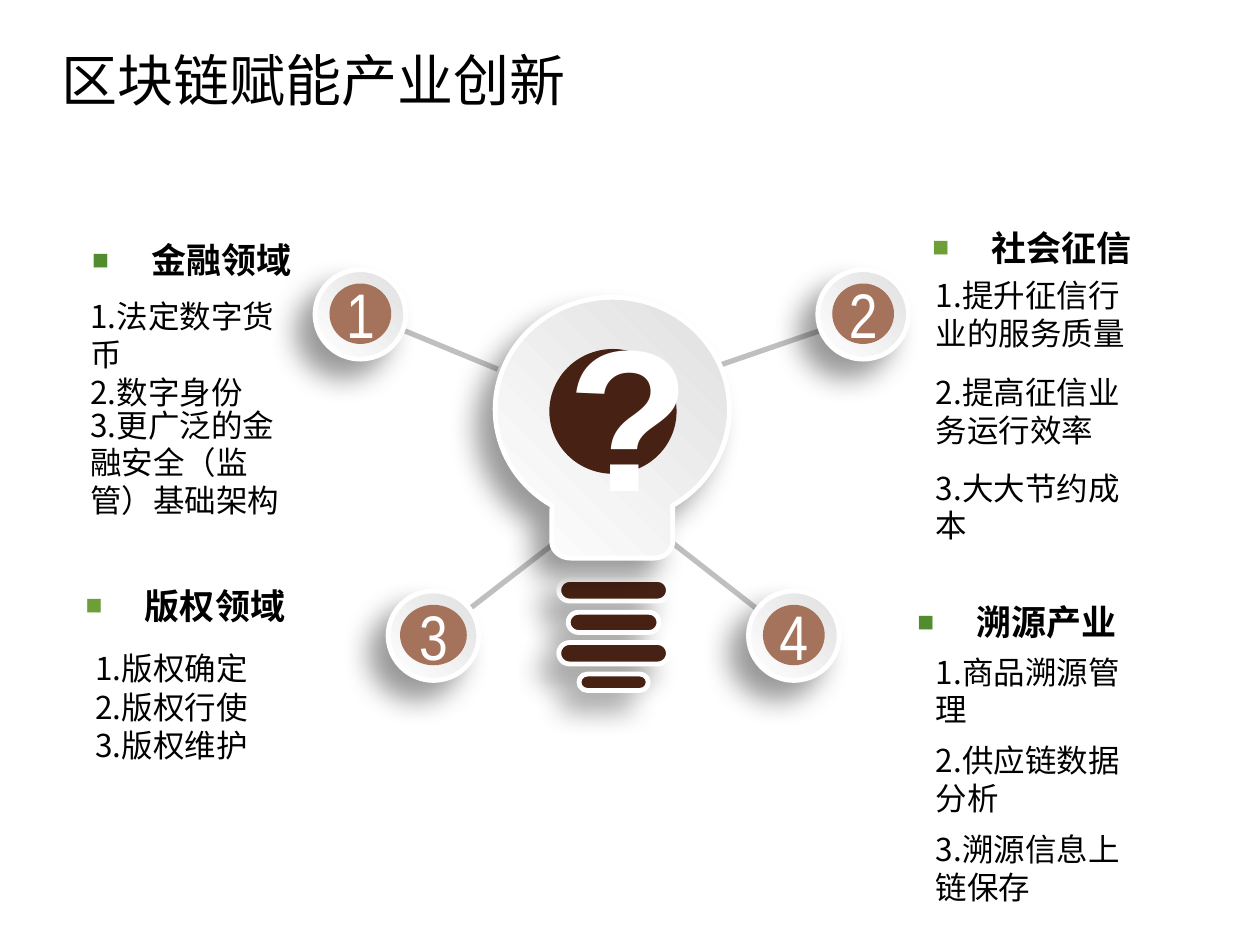
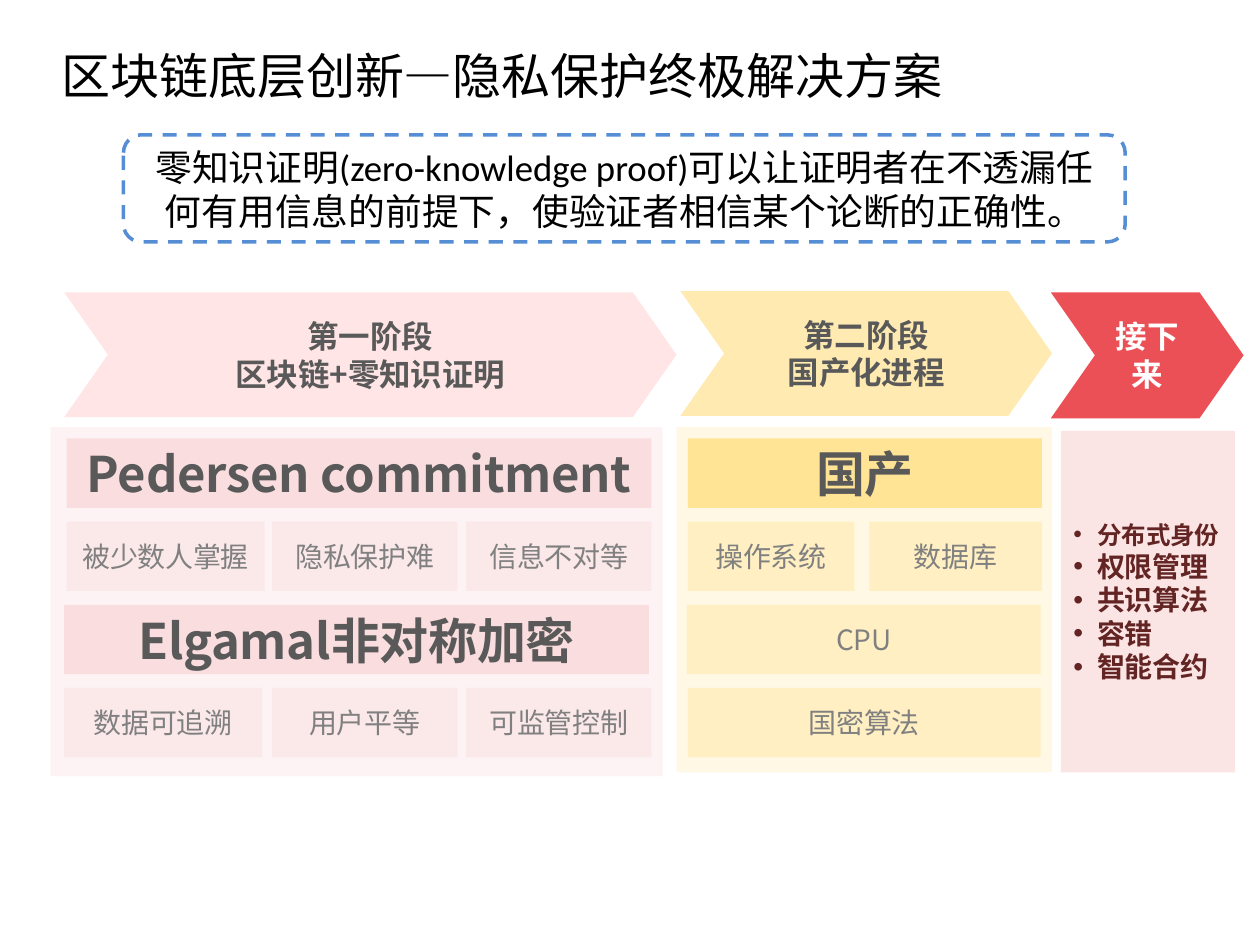
import math

from lxml import etree
from pptx import Presentation
from pptx import util as u
from pptx.dml.color import RGBColor
from pptx.enum import dml, shapes, text
from pptx.oxml.ns import qn

CJK = "Noto Sans CJK SC"
BLACK, WHITE = RGBColor(0, 0, 0), RGBColor(255, 255, 255)
LEAF, MOSS = RGBColor(0x53, 0x8C, 0x2E), RGBColor(0x6D, 0x9E, 0x38)
COFFEE, CLAY = RGBColor(0x47, 0x22, 0x14), RGBColor(0xA5, 0x73, 0x5C)
SILVER, ROD = RGBColor(0xE0, 0xE0, 0xE0), RGBColor(0xBF, 0xBF, 0xBF)
PINK, RED = RGBColor(0xFF, 0, 0), RGBColor(0xE6, 0x21, 0x29)
GOLD, BLUE = RGBColor(0xFF, 0xC0, 0), RGBColor(0x55, 0x8E, 0xD5)
DARK, GREY = RGBColor(0x59, 0x59, 0x59), RGBColor(0x80, 0x80, 0x80)
WINE = RGBColor(0x63, 0x25, 0x23)

# Slide 1: heading, its place and colour, item left, item tops, items
TOPICS = [
    ("金融领域", (0.54, 1.83), LEAF, 0.62, (2.31, 2.91, 3.17),
     ["1.法定数字货币", "2.数字身份", "3.更广泛的金融安全（监管）基础架构"]),
    ("版权领域", (0.49, 4.57), MOSS, 0.66, (5.1, 5.41, 5.71),
     ["1.版权确定", "2.版权行使", "3.版权维护"]),
    ("溯源产业", (7.09, 4.7), LEAF, 7.33, (5.13, 5.83, 6.54),
     ["1.商品溯源管理", "2.供应链数据分析", "3.溯源信息上链保存"]),
    ("社会征信", (7.21, 1.73), MOSS, 7.33, (2.14, 2.91, 3.67),
     ["1.提升征信行业的服务质量", "2.提高征信业务运行效率", "3.大大节约成本"]),
]
# number, left and top of the button, rod from button to bulb
BUTTONS = [
    ("2", 6.49, 2.14, (6.55, 2.61, 5.62, 2.93)),
    ("4", 5.94, 4.69, (6.03, 4.85, 5.3, 4.28)),
    ("1", 2.5, 2.14, (3.15, 2.6, 3.95, 2.93)),
    ("3", 3.08, 4.69, (3.69, 4.86, 4.44, 4.28)),
]
BULB_X = 4.87
SCREW_RINGS = [(4.6, 0.87, 0.17), (4.86, 0.72, 0.16),  # top, width, height
               (5.1, 0.87, 0.17), (5.35, 0.55, 0.13)]

# Slide 2
PROOF = ("零知识证明(zero-knowledge proof)可以让证明者在不透漏任何有用信息的前提下，"
         "使验证者相信某个论断的正确性。")
# lines, box, colour, opacity, text colour
STAGES = [
    (["第一阶段", "区块链+零知识证明"], (0.51, 2.32, 4.86, 0.99), PINK, 10, DARK),
    (["第二阶段", "国产化进程"], (5.4, 2.31, 2.95, 0.99), GOLD, 30, DARK),
    (["接下来"], (8.34, 2.32, 1.53, 1), RED, 79, WHITE),
]
# box, colour, opacities of panel, heading and cell, rows of (left, width, text);
# a row whose flag is True is a heading
PANELS = [
    ((0.4, 3.39, 4.86, 2.77), RED, (5, 10, 5), [
        (True, [(0.53, 4.64, "Pedersen commitment")]),
        (False, [(0.53, 1.57, "被少数人掌握"), (2.16, 1.47, "隐私保护难"),
                 (3.7, 1.47, "信息不对等")]),
        (True, [(0.51, 4.64, "Elgamal非对称加密")]),
        (False, [(0.51, 1.57, "数据可追溯"), (2.16, 1.47, "用户平等"),
                 (3.7, 1.47, "可监管控制")]),
    ]),
    ((5.37, 3.39, 2.98, 2.74), GOLD, (10, 34, 15), [
        (True, [(5.46, 2.81, "国产")]),
        (False, [(5.46, 1.32, "操作系统"), (6.9, 1.37, "数据库")]),
        (False, [(5.45, 2.81, "CPU")]),
        (False, [(5.46, 2.8, "国密算法")]),
    ]),
]
ROW_TOP, ROW_STEP, ROW_H = 3.48, 0.66, 0.55
NEXT_STEPS = ["分布式身份", "权限管理", "共识算法", "容错", "智能合约"]


def sub(parent, tag, **attrs):
    return etree.SubElement(parent, qn(tag), attrs)


def write(sp, lines, size, color, font=CJK, bold=False, spc=None, bullet=None,
          align=None, middle=False, margins=None, wrap=True):
    """Fill sp with paragraphs; bullet is (character, indent, colour, percent)."""
    tf = sp.text_frame
    tf.word_wrap = wrap
    tf.vertical_anchor = text.MSO_ANCHOR.MIDDLE if middle else text.MSO_ANCHOR.TOP
    if margins:
        tf.margin_left = tf.margin_right = u.Inches(margins[0])
        tf.margin_top = tf.margin_bottom = u.Inches(margins[1])
    tf.text = "\n".join(lines)
    for p in tf.paragraphs:
        p.alignment = align or text.PP_ALIGN.LEFT
        if bullet:
            add_bullet(p, *bullet)
        for r in p.runs:
            f = r.font
            f.size, f.bold, f.name, f.color.rgb = u.Pt(size), bold, font, color
            rpr = r._r.get_or_add_rPr()
            sub(rpr, "a:ea", typeface=CJK)
            if spc:
                rpr.set("spc", str(spc))
    return tf


def add_bullet(p, char, indent, color, percent):
    ppr = p._p.get_or_add_pPr()
    ppr.set("marL", str(u.Inches(indent)))
    ppr.set("indent", str(-u.Inches(indent)))
    sub(sub(ppr, "a:buClr"), "a:srgbClr", val=str(color))
    sub(ppr, "a:buSzPct", val=str(percent * 1000))
    sub(ppr, "a:buFont", typeface="Arial")
    sub(ppr, "a:buChar", char=char)


def textbox(s, x, y, w, h, lines, size, color, **style):
    sp = s.shapes.add_textbox(*map(u.Inches, (x, y, w, h)))
    return write(sp, lines, size, color, **style)


def shape(s, kind, box, color=None, opacity=100, adj=None):
    sp = s.shapes.add_shape(kind, *map(u.Inches, box))
    sp.shadow.inherit = False
    sp.line.fill.background()
    if adj is not None:
        sp.adjustments[0] = adj
    if color is None:
        sp.fill.background()
        return sp
    sp.fill.solid()
    sp.fill.fore_color.rgb = color
    if opacity < 100:
        clr = sp._element.spPr.find(qn("a:solidFill")).find(qn("a:srgbClr"))
        sub(clr, "a:alpha", val=str(opacity * 1000))
    return sp


def emboss(sp, glossy=True):
    """White rim, soft shadow to the lower left and, if glossy, a silver fade."""
    sp.shadow.inherit = False
    if glossy:
        sp.fill.gradient()
        sp.fill.gradient_angle = 225
        for stop, color in zip(sp.fill.gradient_stops, (SILVER, WHITE)):
            stop.color.rgb = color
    sp.line.color.rgb = WHITE
    sp.line.width = u.Pt(2.75)
    shadow = sub(sp._element.spPr.find(qn("a:effectLst")), "a:outerShdw",
                 blurRad=str(u.Pt(16)), dist=str(u.Pt(14)), dir=str(135 * 60000),
                 algn="tr", rotWithShape="0")
    sub(sub(shadow, "a:srgbClr", val="000000"), "a:alpha", val="40000")


def arc(cx, cy, rx, ry, start, end, steps):
    angles = [math.radians(start + (end - start) * i / steps) for i in range(steps + 1)]
    return [(u.Inches(cx + rx * math.cos(a)), u.Inches(cy + ry * math.sin(a)))
            for a in angles]


def add_bulb(s):
    points = (arc(4.86, 3.25, 0.93, 0.89, 121, 419, 90)
              + arc(5.19, 4.3, 0.15, 0.13, 0, 90, 10)
              + arc(4.53, 4.3, 0.15, 0.13, 90, 180, 10))
    builder = s.shapes.build_freeform(*points[0])
    builder.add_line_segments(points[1:], close=True)
    emboss(builder.convert_to_shape())


def add_title(s, title, size):
    textbox(s, 0.39, 0.31, 7.3, 0.64, [title], size, BLACK, wrap=False)


def build_industries(s):
    shp, center = shapes.MSO_SHAPE, text.PP_ALIGN.CENTER
    label = dict(align=center, middle=True, margins=(0, 0))
    add_title(s, "区块链赋能产业创新", 32)
    for *_, rod in BUTTONS:
        line = s.shapes.add_connector(shapes.MSO_CONNECTOR.STRAIGHT, *map(u.Inches, rod))
        line.line.color.rgb, line.line.width = ROD, u.Pt(3)
        sub(line._element.spPr, "a:effectLst")
    for number, x, y, _ in BUTTONS:
        emboss(shape(s, shp.OVAL, (x, y, 0.72, 0.71)))
        w = 0.53 if number == "3" else 0.49
        disc = shape(s, shp.OVAL, (x + 0.36 - w / 2, y + 0.11, w, 0.48), CLAY)
        write(disc, [number], 36, WHITE, font="Arial Narrow", **label)
    for y, w, h in SCREW_RINGS:
        ring = shape(s, shp.ROUNDED_RECTANGLE, (BULB_X - w / 2, y, w, h), COFFEE, adj=0.5)
        emboss(ring, glossy=False)
    add_bulb(s)
    core = shape(s, shp.OVAL, (BULB_X - 0.51, 2.77, 1.01, 0.99), COFFEE)
    write(core, ["?"], 115, WHITE, font="Arial", bold=True, **label)
    for heading, (x, y), color, item_x, tops, items in TOPICS:
        tf = textbox(s, x, y, 2.08, 0.32, [heading], 20, BLACK, font="Arial", bold=True,
                     bullet=("■", 0.47, color, 80), margins=(0.19, 0))
        tf.paragraphs[0].line_spacing = 1.2
        for top, item in zip(tops, items):
            textbox(s, item_x, top, 1.73, 0.4, [item], 18, BLACK)


def build_privacy(s):
    shp = shapes.MSO_SHAPE
    label = dict(align=text.PP_ALIGN.CENTER, middle=True)
    add_title(s, "区块链底层创新—隐私保护终极解决方案", 28)
    proof = shape(s, shp.ROUNDED_RECTANGLE, (0.98, 1.07, 7.95, 0.85))
    proof.line.color.rgb, proof.line.width = BLUE, u.Pt(2)
    proof.line.dash_style = dml.MSO_LINE.DASH
    write(proof, [PROOF], 21, BLACK, font="Calibri", **label)
    for lines, box, color, opacity, ink in STAGES:
        stage = shape(s, shp.CHEVRON, box, color, opacity, adj=0.35)
        write(stage, lines, 18, ink, bold=True, spc=-10, **label)

    for box, color, (panel, strong, light), rows in PANELS:
        shape(s, shp.ROUNDED_RECTANGLE, box, color, panel, adj=0)
        for i, (is_heading, cells) in enumerate(rows):
            opacity, size, ink = (strong, 28, DARK) if is_heading else (light, 16, GREY)
            for x, w, words in cells:
                cell = shape(s, shp.ROUNDED_RECTANGLE,
                             (x, ROW_TOP + i * ROW_STEP, w, ROW_H), color, opacity, adj=0)
                write(cell, [words], size, ink, bold=is_heading, spc=-10, **label)

    steps = shape(s, shp.ROUNDED_RECTANGLE, (8.42, 3.42, 1.38, 2.71), RED, 12, adj=0)
    tf = write(steps, NEXT_STEPS, 16, WINE, bold=True, spc=-10, middle=True,
               bullet=("•", 0.19, WINE, 100))
    tf.paragraphs[0].runs[0].font.size = u.Pt(14)


def main():
    prs = Presentation()
    prs.slide_width, prs.slide_height = u.Inches(10), u.Inches(7.5)
    for build in (build_industries, build_privacy):
        build(prs.slides.add_slide(prs.slide_layouts[6]))
    prs.save("out.pptx")


if __name__ == "__main__":
    main()
